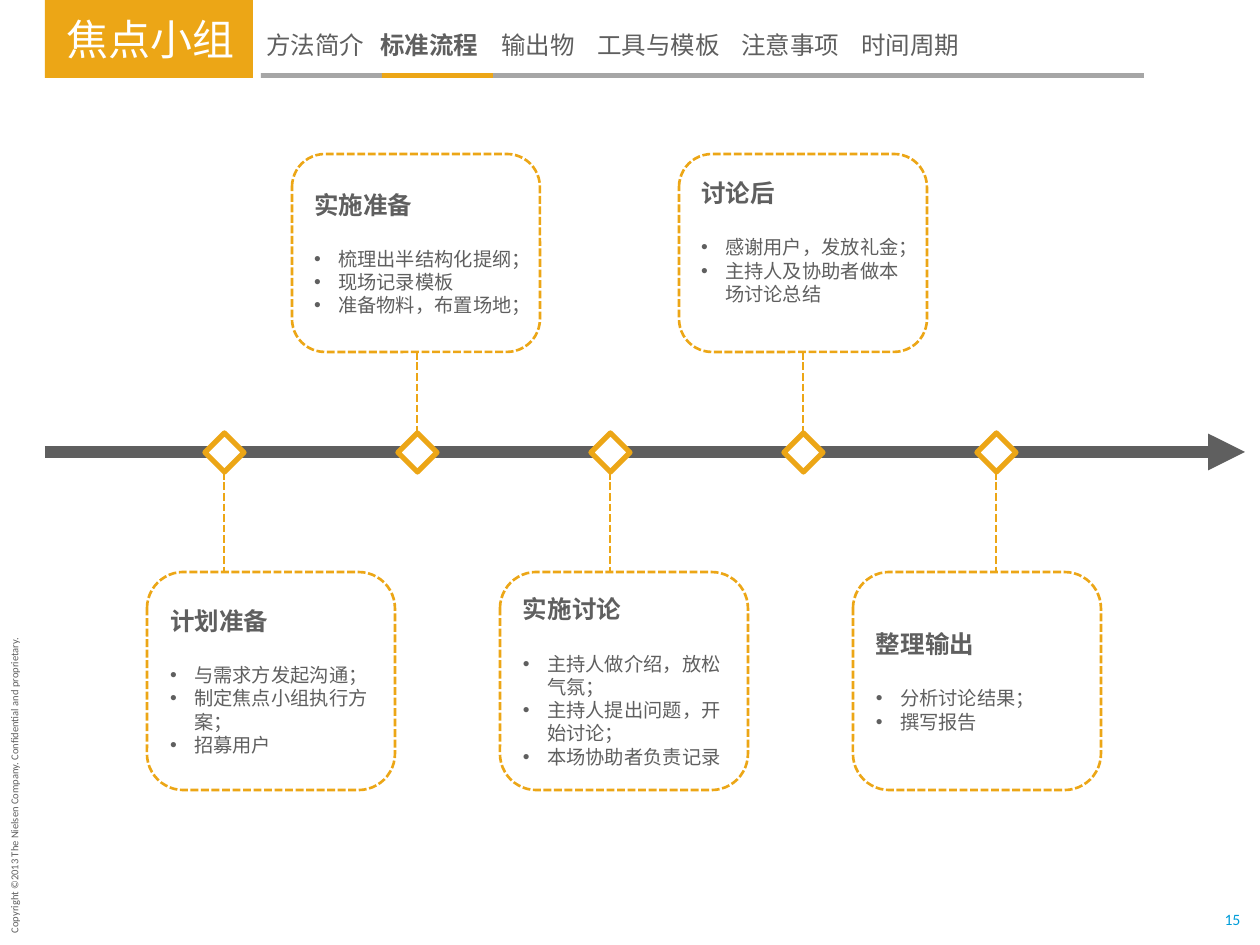
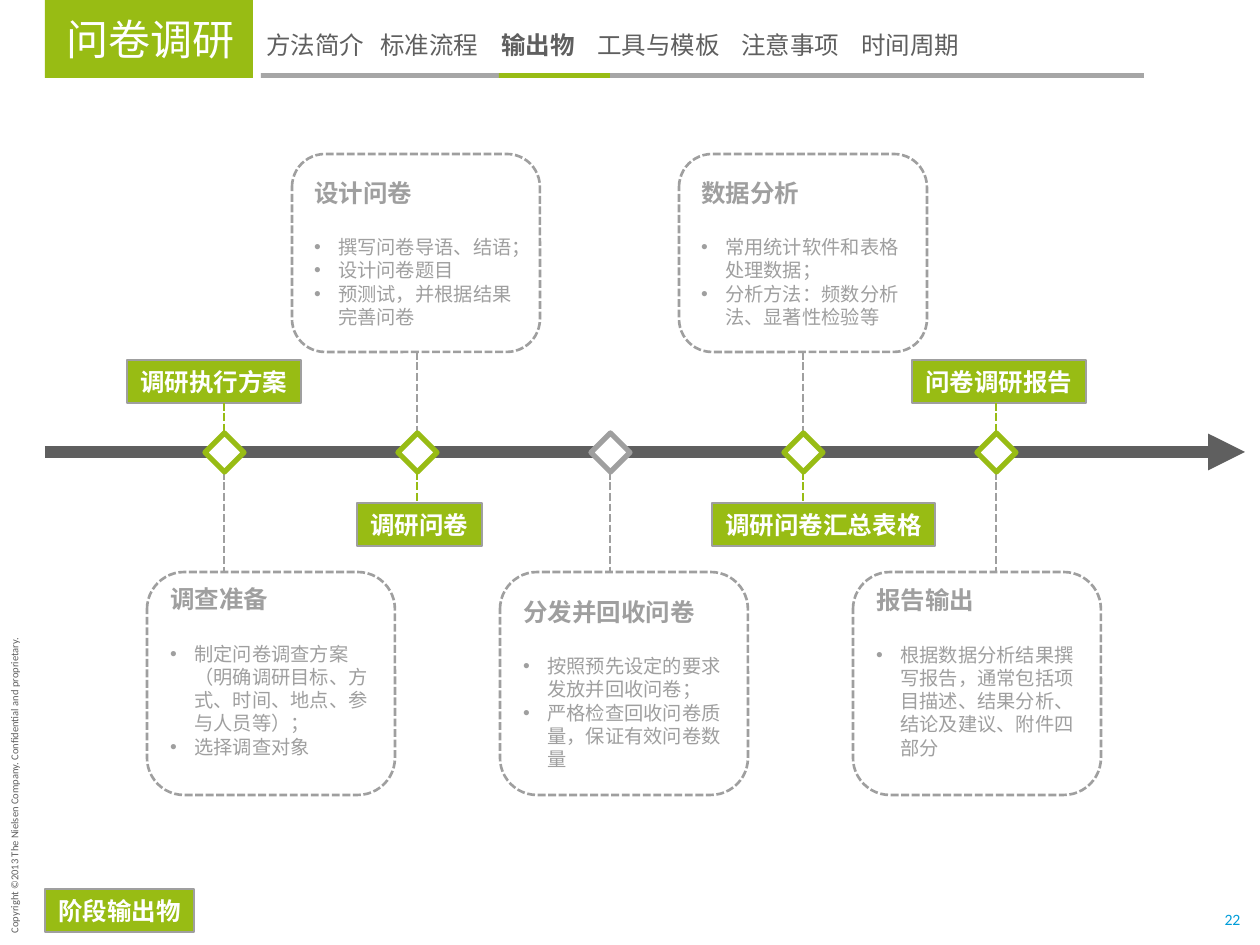
from lxml import etree
from pptx import Presentation
from pptx.dml.color import RGBColor
from pptx.enum.dml import MSO_LINE
from pptx.enum.shapes import MSO_CONNECTOR, MSO_SHAPE
from pptx.enum.text import MSO_ANCHOR, PP_ALIGN
from pptx.oxml.ns import qn
from pptx.util import Emu, Pt

RECT, ROUND_RECT, DIAMOND = MSO_SHAPE.RECTANGLE, MSO_SHAPE.ROUNDED_RECTANGLE, MSO_SHAPE.DIAMOND
STRAIGHT, DASH = MSO_CONNECTOR.STRAIGHT, MSO_LINE.SQUARE_DOT
MIDDLE, TOP = MSO_ANCHOR.MIDDLE, MSO_ANCHOR.TOP
LEFT, CENTER = PP_ALIGN.LEFT, PP_ALIGN.CENTER

EMU_PER_PX = 914400 / 126
CJK, LATIN = "Noto Sans CJK SC", "Calibri"
COLORS = {
    "text": "5F5F5F",
    "muted": "9F9F9F",
    "bar": "A6A6A6",
    "orange": "ECA616",
    "green": "98BC14",
    "page": "009DD9",
    "white": "FFFFFF",
}

# Navigation items with their tab offsets inside the text box
NAV_ITEMS = {"方法简介": 0, "标准流程": 114, "输出物": 235,
             "工具与模板": 331, "注意事项": 475, "时间周期": 595}
COPYRIGHT = "Copyright ©2013 The Nielsen Company. Confidential and proprietary."

AXIS_Y = 452
DIAMOND_TOP, DIAMOND_SIZE = 433, 39
DIAMOND_BOTTOM = DIAMOND_TOP + DIAMOND_SIZE
UPPER_CARD_TOP, UPPER_CARD_HEIGHT = 154, 198
LOWER_CARD_TOP = 572
CARD_WIDTH = 248
LABEL_HEIGHT, UPPER_LABEL_TOP, LOWER_LABEL_TOP = 43, 360, 503

# Each step: heading, bullets, extra space kept free below the text
FOCUS_GROUP_STEPS = [
    ("计划准备", ["与需求方发起沟通；", "制定焦点小组执行方案；", "招募用户"], 0),
    ("实施准备", ["梳理出半结构化提纲；", "现场记录模板", "准备物料，布置场地；"], 0),
    ("实施讨论", ["主持人做介绍，放松气氛；", "主持人提出问题，开始讨论；",
              "本场协助者负责记录"], 0),
    ("讨论后", ["感谢用户，发放礼金；", "主持人及协助者做本场讨论总结"], 23),
    ("整理输出", ["分析讨论结果；", "撰写报告"], 0),
]
SURVEY_STEPS = [
    ("调查准备", ["制定问卷调查方案（明确调研目标、方式、时间、地点、参与人员等）；",
              "选择调查对象"], 25),
    ("设计问卷", ["撰写问卷导语、结语；", "设计问卷题目", "预测试，并根据结果完善问卷"], 0),
    ("分发并回收问卷", ["按照预先设定的要求发放并回收问卷；",
                 "严格检查回收问卷质量，保证有效问卷数量"], 0),
    ("数据分析", ["常用统计软件和表格处理数据；", "分析方法：频数分析法、显著性检验等"], 0),
    ("报告输出", ["根据数据分析结果撰写报告，通常包括项目描述、结果分析、结论及建议、附件四部分"], 23),
]
# Step index: label left, output name
SURVEY_OUTPUTS = {0: (127, "调研执行方案"), 1: (357, "调研问卷"),
                  3: (712, "调研问卷汇总表格"), 4: (912, "问卷调研报告")}


def px(n):
    return Emu(round(n * EMU_PER_PX))


def rgb(name):
    return RGBColor.from_string(COLORS[name])


def format_run(r, size, color, bold=False, font=CJK):
    r.font.size = Pt(size)
    r.font.bold = bold
    r.font.name = font
    r.font.color.rgb = rgb(color)
    etree.SubElement(r._r.get_or_add_rPr(), qn("a:ea"), typeface=font)


def format_paragraph(p, size, color, bold=False, font=CJK, align=LEFT):
    p.alignment = align
    p.line_spacing = Pt(round(size * 1.21, 1))
    for r in p.runs:
        format_run(r, size, color, bold, font)


def add_bullet(p):
    pPr = p._p.get_or_add_pPr()
    pPr.set("marL", str(px(24)))
    pPr.set("indent", str(-px(24)))
    etree.SubElement(pPr, qn("a:buFont"), typeface="Arial")
    etree.SubElement(pPr, qn("a:buChar"), char="•")


def add_tabs(p, offsets):
    tabs = etree.SubElement(p._p.get_or_add_pPr(), qn("a:tabLst"))
    for offset in offsets:
        etree.SubElement(tabs, qn("a:tab"), pos=str(px(offset)), algn="l")


def add_box(slide, kind, left, top, width, height, fill=None, line=None, weight=0.75, dash=None):
    sp = slide.shapes.add_shape(kind, px(left), px(top), px(width), px(height))
    sp.shadow.inherit = False
    if fill:
        sp.fill.solid()
        sp.fill.fore_color.rgb = rgb(fill)
    else:
        sp.fill.background()
    if line:
        sp.line.color.rgb = rgb(line)
        sp.line.width = Pt(weight)
        sp.line.dash_style = dash
    else:
        sp.line.fill.background()
    return sp


def add_textbox(slide, left, top, width, height, anchor=TOP, wrap=False):
    sp = slide.shapes.add_textbox(px(left), px(top), px(width), px(height))
    sp.text_frame.word_wrap = wrap
    sp.text_frame.vertical_anchor = anchor
    return sp


def add_line(slide, x1, y1, x2, y2, color, weight=1.5, dash=DASH):
    line = slide.shapes.add_connector(STRAIGHT, px(x1), px(y1), px(x2), px(y2))
    line.line.color.rgb = rgb(color)
    line.line.width = Pt(weight)
    line.line.dash_style = dash
    etree.SubElement(line._element.spPr, qn("a:effectLst"))
    return line


def add_footer(slide, page):
    sp = add_textbox(slide, -149, 770, 326, 25)
    sp.rotation = 270
    p = sp.text_frame.paragraphs[0]
    p.text = COPYRIGHT
    format_paragraph(p, 6, "text", font=LATIN)

    tf = add_textbox(slide, 1223, 910, 19, 19, MIDDLE).text_frame
    tf.margin_left = tf.margin_right = tf.margin_top = tf.margin_bottom = 0
    tf.text = str(page)
    format_paragraph(tf.paragraphs[0], 9, "page", font=LATIN, align=CENTER)


def add_header(slide, title, active, marker_left, accent):
    """Title block, navigation row and the marker under the active item."""
    tf = add_box(slide, RECT, 45, 0, 208, 78, accent).text_frame
    tf.margin_left = px(22)
    tf.margin_right = 0
    tf.vertical_anchor = MIDDLE
    tf.text = title
    format_paragraph(tf.paragraphs[0], 24, "white")

    add_box(slide, RECT, 261, 73, 883, 5, "bar")
    add_box(slide, RECT, marker_left, 73, 111, 5, accent)

    p = add_textbox(slide, 254, 24, 872, 43, wrap=True).text_frame.paragraphs[0]
    add_tabs(p, list(NAV_ITEMS.values())[1:])
    format_paragraph(p, 14, "text")
    for item, offset in NAV_ITEMS.items():
        r = p.add_run()
        r.text = "\t" + item if offset else item
        format_run(r, 14, "text", item == active)


def add_card(slide, left, top, height, color, text_color, step):
    heading, bullets, space_below = step
    sp = add_box(slide, ROUND_RECT, left, top, CARD_WIDTH, height, line=color, weight=1.5, dash=DASH)
    tf = sp.text_frame
    tf.word_wrap = True
    tf.vertical_anchor = MIDDLE
    tf.margin_bottom = px(6 + space_below)
    tf.text = heading
    p = tf.paragraphs[0]
    format_paragraph(p, 14, text_color, bold=True)
    p.space_after = Pt(16)
    for bullet in bullets:
        p = tf.add_paragraph()
        p.text = bullet
        add_bullet(p)
        format_paragraph(p, 11, text_color)


def add_label(slide, left, top, text):
    width = 27 + len(text) * 49 // 2
    tf = add_box(slide, RECT, left, top, width, LABEL_HEIGHT, "green", "muted").text_frame
    tf.word_wrap = False
    tf.vertical_anchor = MIDDLE
    tf.text = text
    format_paragraph(tf.paragraphs[0], 14, "white", bold=True, align=CENTER)


def add_timeline(slide, steps, accent, card_color, text_color, lower_height, outputs=None):
    """Arrow with five milestones; cards alternate below and above it, outputs sit opposite."""
    axis = add_line(slide, 45, AXIS_Y, 1245, AXIS_Y, "text", 7, None)
    etree.SubElement(axis.line._get_or_add_ln(), qn("a:tailEnd"), type="triangle")

    for i, step in enumerate(steps):
        center = 224 + 193 * i
        above = i % 2 == 1
        if above:
            add_card(slide, 292 + i // 2 * 387, UPPER_CARD_TOP, UPPER_CARD_HEIGHT,
                     card_color, text_color, step)
            add_line(slide, center, UPPER_CARD_TOP + UPPER_CARD_HEIGHT, center, DIAMOND_TOP, card_color)
        else:
            add_card(slide, 147 + i // 2 * 353, LOWER_CARD_TOP, lower_height,
                     card_color, text_color, step)
            add_line(slide, center, DIAMOND_BOTTOM, center, LOWER_CARD_TOP, card_color)

        has_output = outputs is not None and i in outputs
        if has_output:
            left, name = outputs[i]
            label_top = LOWER_LABEL_TOP if above else UPPER_LABEL_TOP
            add_label(slide, left, label_top, name)
            start, end = (DIAMOND_BOTTOM, label_top) if above else (label_top + LABEL_HEIGHT, DIAMOND_TOP)
            add_line(slide, center, start, center, end, accent)

        diamond_color = accent if outputs is None or has_output else card_color
        add_box(slide, DIAMOND, center - DIAMOND_SIZE // 2, DIAMOND_TOP, DIAMOND_SIZE, DIAMOND_SIZE,
                "white", diamond_color, 3)


def add_focus_group_slide(prs):
    slide = prs.slides.add_slide(prs.slide_layouts[6])
    add_footer(slide, 15)
    add_header(slide, "焦点小组", "标准流程", 382, "orange")
    add_timeline(slide, FOCUS_GROUP_STEPS, "orange", "orange", "text", 218)


def add_survey_slide(prs):
    slide = prs.slides.add_slide(prs.slide_layouts[6])
    add_footer(slide, 22)
    add_header(slide, "问卷调研", "输出物", 499, "green")
    add_timeline(slide, SURVEY_STEPS, "green", "muted", "muted", 223, SURVEY_OUTPUTS)
    add_label(slide, 45, 889, "阶段输出物")


def main():
    prs = Presentation()
    prs.slide_width, prs.slide_height = px(1260), px(945)
    add_focus_group_slide(prs)
    add_survey_slide(prs)
    prs.save("out.pptx")


if __name__ == "__main__":
    main()
